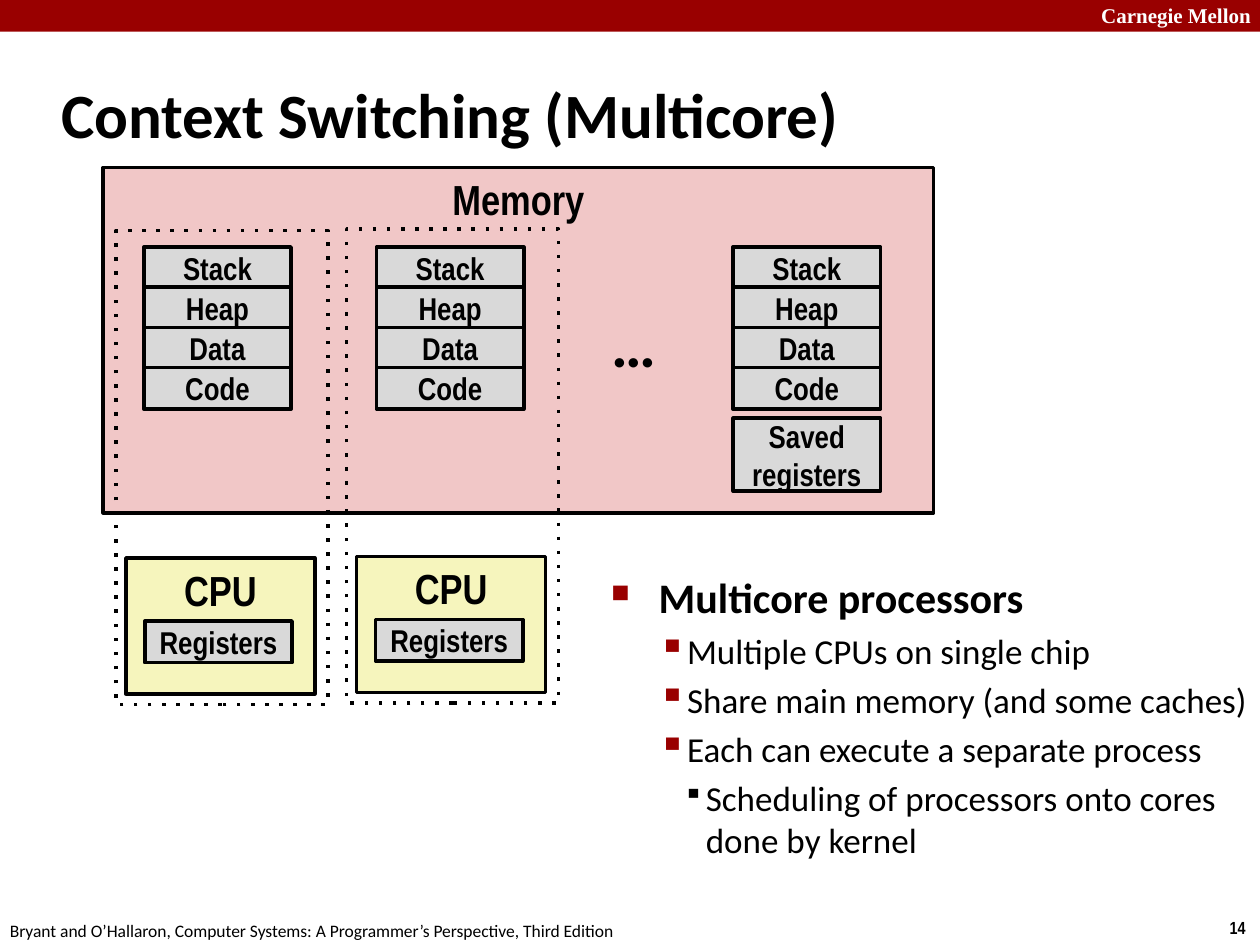
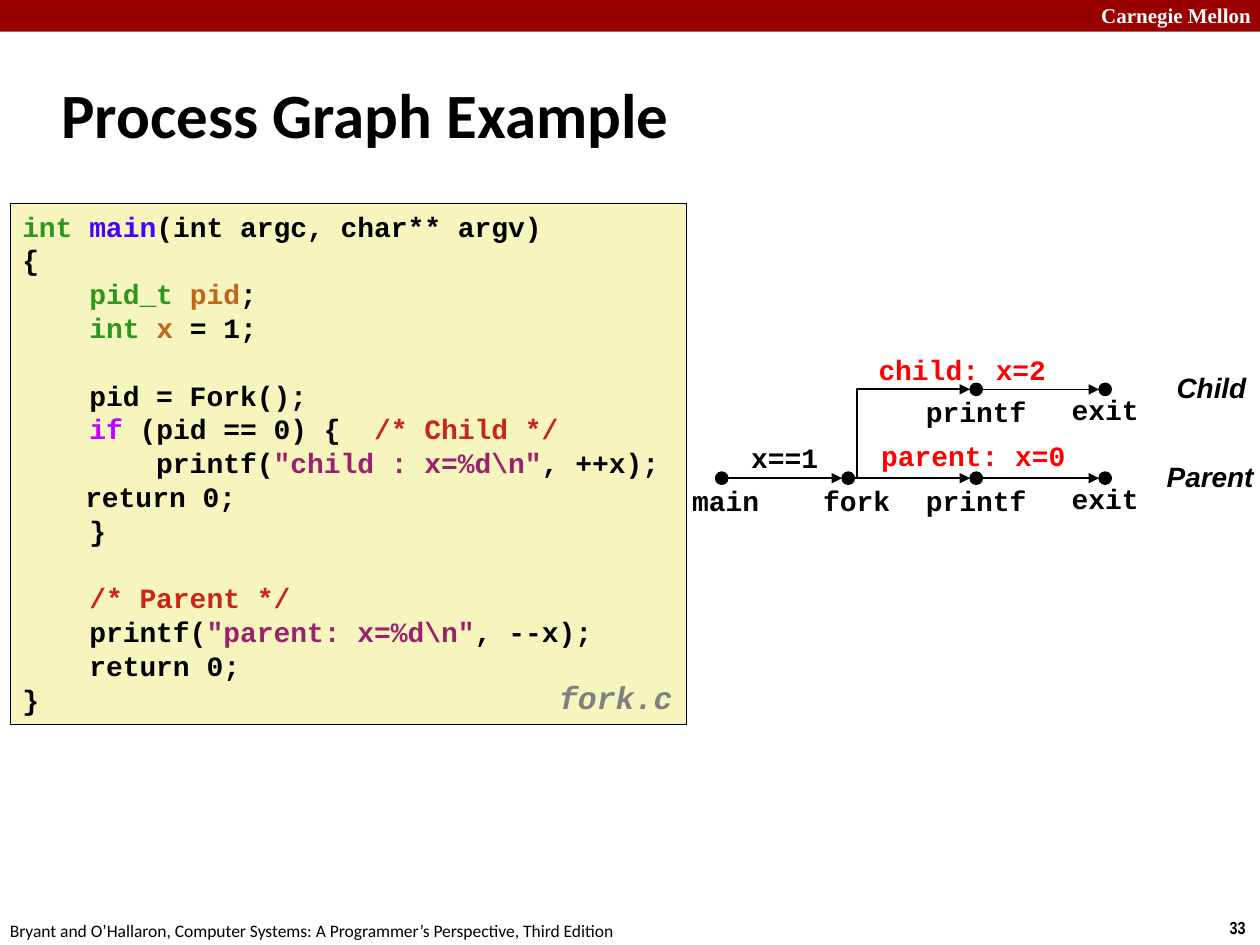
from lxml.etree import SubElement
from pptx import Presentation
from pptx.dml.color import RGBColor
from pptx.enum.dml import MSO_LINE
from pptx.enum.shapes import MSO_CONNECTOR as LINK, MSO_SHAPE as SHAPE
from pptx.enum.text import MSO_ANCHOR as ANCHOR, PP_ALIGN as ALIGN
from pptx.oxml.ns import qn
from pptx.util import Cm, Pt

COLORS = {
    "black": "000000", "white": "FFFFFF", "band": "990000", "red": "FF0000",
    "memory": "F1C7C7", "segment": "D9D9D9", "cream": "F6F5BD", "gray": "808080",
    "type": "2D961E", "function": "4A00FF", "variable": "C1651C",
    "keyword": "C200FF", "comment": "CB2418", "string": "9D206F",
}
BOOK = "Bryant and O’Hallaron, Computer Systems: A Programmer’s Perspective, Third Edition"

# Outline levels: text format and bullet (sign, colour, percent, left, hang)
OUTLINE = [
    (dict(size=24, bold=True), ("■", "band", 60, 0.96, 0.96)),
    (dict(size=20, before=4), ("▪", "band", 110, 1.45, 0.5)),
    (dict(size=20, before=4), ("▪", "black", 80, 1.91, 0.46)),
]
MULTICORE = [
    (0, "Multicore processors"),
    (1, "Multiple CPUs on single chip"),
    (1, "Share main memory (and some caches)"),
    (1, "Each can execute a separate process"),
    (2, "Scheduling of processors onto cores done by kernel"),
]
FORK_CODE = [
    [("int ", "type"), ("main", "function"), ("(int argc, char** argv)", "black")],
    "{",
    [("    pid_t ", "type"), ("pid", "variable"), (";", "black")],
    [("    int ", "type"), ("x", "variable"), (" = 1;", "black")],
    "",
    "    pid = Fork();",
    [("    if", "keyword"), (" (pid == 0) {  ", "black"), ("/* Child */", "comment")],
    [("        printf(", "black"), (r'"child : x=%d\n"', "string"), (", ++x);", "black")],
    "\treturn 0;",
    "    }",
    "",
    "    /* Parent */",
    [("    printf(", "black"), (r'"parent: x=%d\n"', "string"), (", --x);", "black")],
    "    return 0;",
    "}",
]
FORK_CODE[11] = [(FORK_CODE[11], "comment")]


def rgb(name):
    return RGBColor.from_string(COLORS[name])


def write(paragraph, text, font="Calibri", size=16, color="black", bold=False,
          italic=False, align=ALIGN.LEFT, before=0, spacing=None, bullet=None):
    """Fill a paragraph with a string or with (string, colour) pairs."""
    paragraph.alignment = align
    paragraph.space_before = Pt(before)
    if spacing:
        paragraph.line_spacing = spacing
    if bullet:
        sign, sign_color, percent, left, hang = bullet
        props = paragraph._p.get_or_add_pPr()
        props.set("marL", str(Cm(left)))
        props.set("indent", str(-Cm(hang)))
        tint = SubElement(props, qn("a:buClr"))
        SubElement(tint, qn("a:srgbClr"), val=COLORS[sign_color])
        SubElement(props, qn("a:buSzPct"), val=str(percent * 1000))
        SubElement(props, qn("a:buChar"), char=sign)
    for part, part_color in [(text, color)] if isinstance(text, str) else text:
        run = paragraph.add_run()
        run.text = part
        run.font.name, run.font.size = font, Pt(size)
        run.font.bold, run.font.italic = bold, italic
        run.font.color.rgb = rgb(part_color)


class Deck:
    narrow = dict(font="Arial Narrow", bold=True, align=ALIGN.CENTER)
    mono = dict(font="Courier New", bold=True)
    dot = 0.25

    def __init__(self):
        self.show = Presentation()
        self.show.slide_width, self.show.slide_height = Cm(25.4), Cm(19.05)
        self.slide = None

    def start_slide(self, title, number):
        self.slide = self.show.slides.add_slide(self.show.slide_layouts[6])
        self.rect((0, 0, 25.4, 0.64), "band", line=None)
        self.text((21.95, -0.08, 3.63, 0.76), "Carnegie Mellon", wrap=True,
                  font="Times New Roman", size=12, color="white", bold=True)
        self.text((24.54, 18.36, 0.86, 0.69), number, font="Arial Narrow", size=10, bold=True)
        self.text((-0.05, 18.42, 12.9, 0.69), BOOK, size=10)
        self.text((0.99, 1.22, 23.57, 2.11), title, anchor=ANCHOR.MIDDLE, wrap=True,
                  size=36, bold=True)

    def fill_frame(self, frame, paragraphs, anchor, wrap):
        """Write (text, format) pairs, one to a paragraph."""
        frame.word_wrap = wrap
        frame.vertical_anchor = anchor
        for i, (text, style) in enumerate(paragraphs):
            write(frame.add_paragraph() if i else frame.paragraphs[0], text, **style)

    def text(self, place, text, anchor=ANCHOR.TOP, wrap=False, **style):
        self.paragraphs(place, [(text, style)], anchor, wrap)

    def paragraphs(self, place, paragraphs, anchor=ANCHOR.TOP, wrap=True):
        frame = self.slide.shapes.add_textbox(*map(Cm, place)).text_frame
        self.fill_frame(frame, paragraphs, anchor, wrap)

    def rect(self, place, fill, paragraphs=(), anchor=ANCHOR.TOP, line=2,
             dotted=False, kind=SHAPE.RECTANGLE):
        shape = self.slide.shapes.add_shape(kind, *map(Cm, place))
        shape.shadow.inherit = False
        if fill:
            shape.fill.solid()
            shape.fill.fore_color.rgb = rgb(fill)
        else:
            shape.fill.background()
        if line:
            shape.line.color.rgb = rgb("black")
            shape.line.width = Pt(line)
        else:
            shape.line.fill.background()
        if dotted:
            shape.line.dash_style = MSO_LINE.ROUND_DOT
            shape.element.spPr.find(".//" + qn("a:prstDash")).set("val", "dot")
        if paragraphs:
            self.fill_frame(shape.text_frame, paragraphs, anchor, True)

    def segment(self, left, top, name, height=0.84):
        self.rect((left, top, 2.97, height), "segment",
                  [(name, dict(self.narrow, size=18))], ANCHOR.MIDDLE)

    def heading_box(self, place, fill, name):
        self.rect(place, fill, [(name, dict(self.narrow, size=24))])

    def event(self, x, y):
        """Draw a graph node centred on a point."""
        r = self.dot / 2
        self.rect((x - r, y - r, self.dot, self.dot), "black", line=0.75, kind=SHAPE.OVAL)

    def arrow(self, start, end, kind=LINK.STRAIGHT):
        link = self.slide.shapes.add_connector(kind, *map(Cm, (*start, *end)))
        link.line.color.rgb = rgb("black")
        link.line.width = Pt(1)
        props = link.element.spPr
        SubElement(props.find(qn("a:ln")), qn("a:tailEnd"), type="triangle")
        SubElement(props, qn("a:effectLst"))
        return link

    def up_then_right(self, start, end):
        """Draw a one-bend arrow: a quarter turn of a box with swapped sides."""
        mid_x, mid_y = (start[0] + end[0]) / 2, (start[1] + end[1]) / 2
        half_w, half_h = (start[1] - end[1]) / 2, (end[0] - start[0]) / 2
        link = self.arrow((mid_x + half_w, mid_y + half_h),
                          (mid_x - half_w, mid_y - half_h), LINK.ELBOW)
        props = link.element.spPr
        props.find(qn("a:xfrm")).set("rot", "5400000")
        props.find(qn("a:prstGeom")).set("prst", "bentConnector2")

    def code_label(self, center, top, text, color="black"):
        self.text((center - 2.5, top, 5, 0.94), text, color=color,
                  align=ALIGN.CENTER, wrap=True, **self.mono)


def draw_multicore(deck):
    deck.start_slide("Context Switching (Multicore)", "14")
    deck.paragraphs((12.07, 11.4, 13.77, 7.42), [
        (text, dict(OUTLINE[level][0], bullet=OUTLINE[level][1]))
        for level, text in MULTICORE])
    deck.heading_box((2.08, 3.38, 16.74, 6.96), "memory", "Memory")
    for left in (2.9, 7.59, 14.78):
        for i, name in enumerate(("Stack", "Heap", "Data", "Code")):
            deck.segment(left, 4.98 + 0.81 * i, name)
    deck.segment(14.78, 8.43, "Saved registers", 1.47)
    deck.text((12.07, 6.02, 1.42, 1.8), "…", size=36, bold=True)
    for left, top in ((2.34, 4.65), (6.99, 4.62)):
        deck.heading_box((left + 0.2, top + 6.6, 3.81, 2.74), "cream", "CPU")
        deck.segment(left + 0.58, top + 7.87, "Registers")
        deck.rect((left, top, 4.27, 9.55), None, dotted=True)


def draw_process_graph(deck):
    deck.start_slide("Process Graph Example", "33")
    style = dict(deck.mono, spacing=Pt(19.3))
    deck.rect((0.2, 4.09, 13.64, 10.52), "cream",
              [(line, style) for line in FORK_CODE], line=0.25)
    deck.text((11.02, 13.61, 2.97, 0.99), "fork.c", size=18, color="gray",
              italic=True, spacing=0.94, **deck.mono)

    main_x, fork_x, printf_x, exit_x = 14.55, 17.1, 19.68, 22.28
    child_y, parent_y = 7.85, 9.64
    r = deck.dot / 2
    rows = [(child_y, (printf_x, exit_x)),
            (parent_y, (main_x, fork_x, printf_x, exit_x))]
    for y, stops in rows:
        for x in stops:
            deck.event(x, y)
        for x, next_x in zip(stops, stops[1:]):
            deck.arrow((x + r, y), (next_x - r, y))
        deck.code_label(printf_x, y - 0.02, "printf")
        deck.code_label(exit_x, y - 0.06, "exit")
    deck.up_then_right((fork_x + 0.17, parent_y), (printf_x - r, child_y))
    deck.code_label(main_x + 0.08, parent_y - 0.02, "main")
    deck.code_label(fork_x + 0.17, parent_y - 0.02, "fork")
    deck.code_label(15.82, 8.76, "x==1")
    deck.code_label(19.4, 6.98, "child: x=2", "red")
    deck.code_label(19.62, 8.71, "parent: x=0", "red")
    for left, top, width, name in ((23.27, 9.14, 2.34, "Parent"), (23.47, 7.34, 1.96, "Child")):
        deck.text((left, top, width, 0.94), name, font="Arial", bold=True, italic=True)


def main():
    deck = Deck()
    draw_multicore(deck)
    draw_process_graph(deck)
    deck.show.save("out.pptx")


if __name__ == "__main__":
    main()
